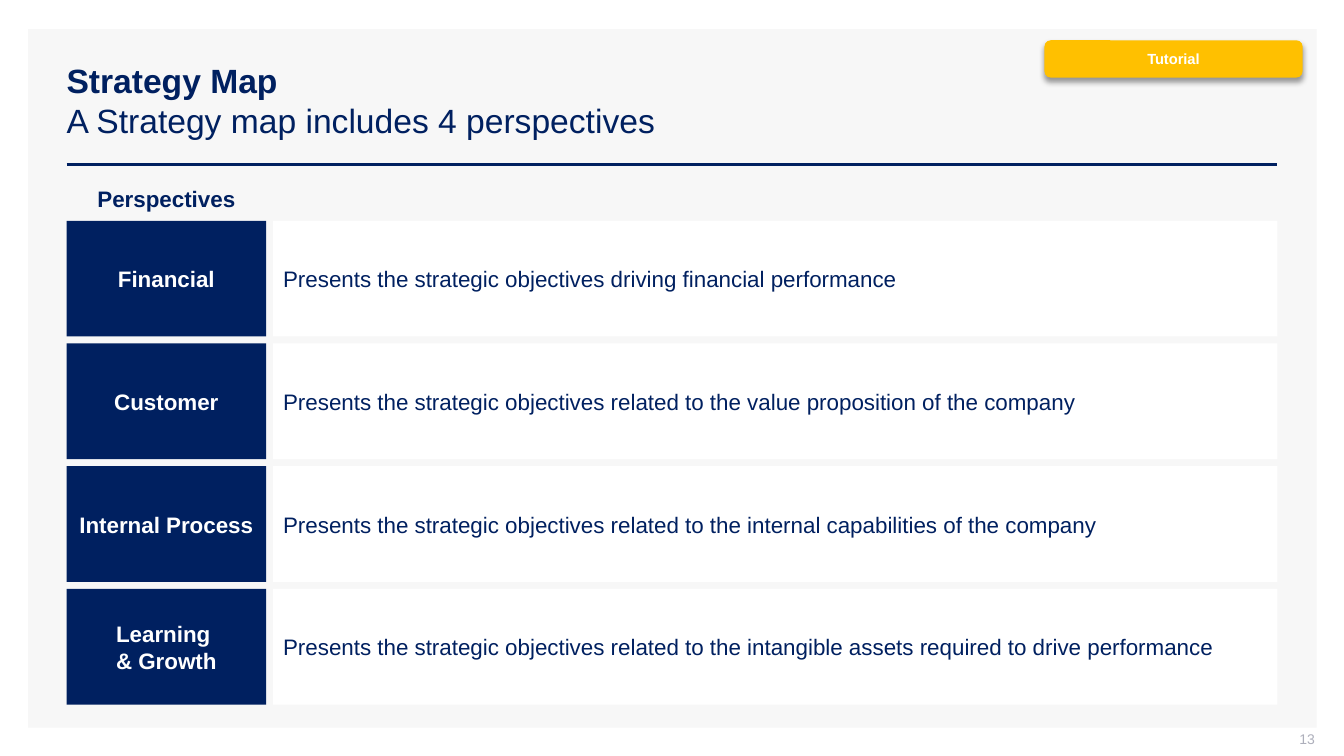
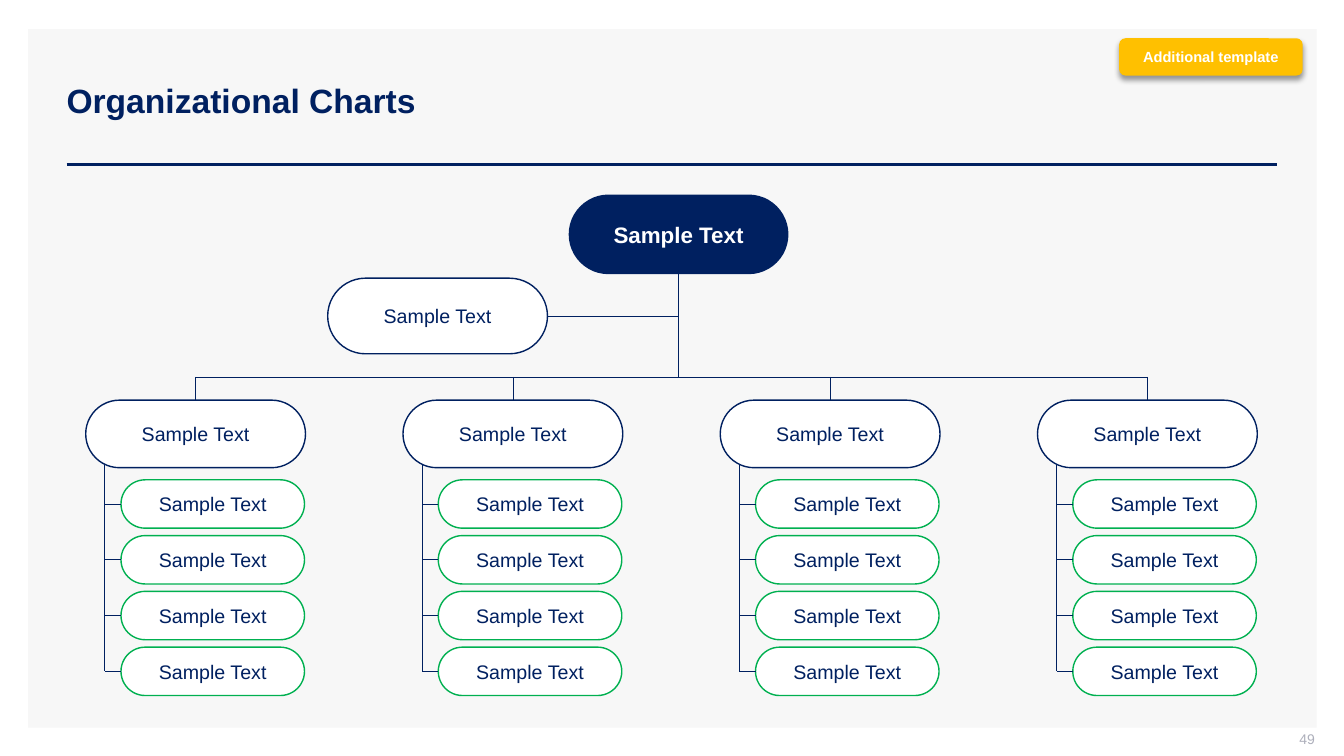
import lxml.etree
import pptx
import pptx.dml.color
import pptx.enum.shapes
import pptx.enum.text
import pptx.oxml.ns
import pptx.util

Inches = pptx.util.Inches
Pt = pptx.util.Pt
qn = pptx.oxml.ns.qn
SHAPE = pptx.enum.shapes.MSO_SHAPE
STRAIGHT = pptx.enum.shapes.MSO_CONNECTOR.STRAIGHT
ALIGN = pptx.enum.text.PP_ALIGN
MIDDLE = pptx.enum.text.MSO_ANCHOR.MIDDLE

FONT = "Arial"
NAVY, WHITE, GREEN, AMBER = "002060", "FFFFFF", "00B050", "FFC000"
PANEL, PAGE_GREY = "F7F7F7", "ADAFBB"
TOP, LEFT, BOTTOM, RIGHT = range(4)  # connection sites
MARGIN, CONTENT_WIDTH = 0.66, 12.01

PERSPECTIVES = [
    ("Financial", "Presents the strategic objectives driving financial performance"),
    ("Customer", "Presents the strategic objectives related to the value proposition of the company"),
    ("Internal Process", "Presents the strategic objectives related to the internal capabilities of the company"),
    ("Learning \n& Growth", "Presents the strategic objectives related to the intangible assets "
                            "required to drive performance"),
]
SAMPLE = "Sample Text"


def rgb(value):
    return pptx.dml.color.RGBColor.from_string(value)


def inches(*lengths):
    return [Inches(length) for length in lengths]


def style(paragraph, size, color, bold=False, align=ALIGN.CENTER):
    paragraph.alignment = align
    font = paragraph.font
    font.name, font.size, font.bold = FONT, Pt(size), bold
    font.color.rgb = rgb(color)


def write(frame, text, size, color, bold=False, align=ALIGN.CENTER):
    frame.word_wrap = True
    frame.vertical_anchor = MIDDLE
    frame.text = text
    for paragraph in frame.paragraphs:
        style(paragraph, size, color, bold, align)


def add_box(slide, box, fill, line=None, kind=SHAPE.RECTANGLE):
    shape = slide.shapes.add_shape(kind, *inches(*box))
    shape.shadow.inherit = False
    shape.fill.solid()
    shape.fill.fore_color.rgb = rgb(fill)
    if line:
        shape.line.color.rgb = rgb(line)
        shape.line.width = Pt(1)
    else:
        shape.line.fill.background()
    return shape


def add_pill(slide, box, fill=WHITE, line=NAVY, size=14, color=NAVY, bold=False):
    pill = add_box(slide, box, fill, line, SHAPE.ROUNDED_RECTANGLE)
    pill.adjustments[0] = 0.5
    write(pill.text_frame, SAMPLE, size, color, bold)
    return pill


def add_label(slide, box, text, size, color, bold=False, align=ALIGN.CENTER, insets=(0, 0.05, 0, 0.05)):
    frame = slide.shapes.add_textbox(*inches(*box)).text_frame
    (frame.margin_left, frame.margin_top,
     frame.margin_right, frame.margin_bottom) = inches(*insets)
    write(frame, text, size, color, bold, align)


def add_line(slide, start, end, width=0.5):
    line = slide.shapes.add_connector(STRAIGHT, *inches(*start, *end))
    line.line.color.rgb = rgb(NAVY)
    line.line.width = Pt(width)
    lxml.etree.SubElement(line._element.spPr, qn("a:effectLst"))
    return line


def add_badge(slide, box, text):
    badge = add_box(slide, box, AMBER, kind=SHAPE.ROUNDED_RECTANGLE)
    write(badge.text_frame, text, 10.5, WHITE, bold=True)
    # Soft shadow straight below
    effects = badge._element.spPr.find(qn("a:effectLst"))
    shadow = lxml.etree.SubElement(
        effects, qn("a:outerShdw"), blurRad=str(Pt(4)), dist=str(Pt(3)),
        dir="5400000", algn="t", rotWithShape="0")
    black = lxml.etree.SubElement(shadow, qn("a:srgbClr"), val="000000")
    lxml.etree.SubElement(black, qn("a:alpha"), val="40000")


def add_base_slide(deck, heading, page, subheading=None):
    """Panel, title, rule and page number that every slide shares."""
    slide = deck.slides.add_slide(deck.slide_layouts[5])
    panel = add_box(slide, (0.28, 0.29, 12.78, 6.93), PANEL)
    slide.shapes._spTree.insert(2, panel._element)  # behind the title

    title = slide.shapes.title
    title.left, title.top, title.width, title.height = inches(0.56, 0.4, 12.11, 1.19)
    frame = title.text_frame
    frame.auto_size = pptx.enum.text.MSO_AUTO_SIZE.NONE
    write(frame, heading, 24, NAVY, True, ALIGN.LEFT)
    if subheading:
        paragraph = frame.paragraphs[0]
        paragraph.add_line_break()
        run = paragraph.add_run()
        run.text = subheading
        run.font.bold = False

    add_line(slide, (MARGIN, 1.63), (MARGIN + CONTENT_WIDTH, 1.63), 2)
    add_label(slide, (10.04, 7.25, 3, 0.21), page, 10, PAGE_GREY,
              align=ALIGN.RIGHT, insets=(0.1, 0, 0, 0.05))
    return slide


def add_perspectives(slide, box):
    """Rows of a perspective name and its description, under a column heading."""
    left, top, width, height = box
    name_width, gap = 1.98, 0.07
    row_height = (height - gap * (len(PERSPECTIVES) - 1)) / len(PERSPECTIVES)
    text_left = left + name_width + gap
    add_label(slide, (left, top - 0.39, name_width, 0.34), "Perspectives", 16, NAVY, True)
    for row, (name, description) in enumerate(PERSPECTIVES):
        y = top + row * (row_height + gap)
        name_cell = add_box(slide, (left, y, name_width, row_height), NAVY)
        write(name_cell.text_frame, name, 16, WHITE, True)
        text_cell = add_box(slide, (text_left, y, left + width - text_left, row_height), WHITE)
        write(text_cell.text_frame, description, 16, NAVY, align=ALIGN.LEFT)


def add_department(slide, box, bus_y):
    """Department head hung from the bus, with a team of four below."""
    left, top, width, height = box
    head_height, member_height, members = 0.67, 0.48, 4
    spine_x, member_left = left + 0.19, left + 0.35
    first_top = top + 0.79
    pitch = (top + height - member_height - first_top) / (members - 1)
    spine_end = top + height - member_height / 2

    add_line(slide, (spine_x, top + 0.63), (spine_x, spine_end))
    head = add_pill(slide, (left, top, width, head_height))
    center = left + width / 2
    add_line(slide, (center, bus_y), (center, top)).end_connect(head, TOP)
    for index in range(members):
        y = first_top + index * pitch
        member = add_pill(slide, (member_left, y, 1.82, member_height), line=GREEN)
        middle = y + member_height / 2
        branch = add_line(slide, (spine_x, middle), (member_left, middle))
        branch.end_connect(member, LEFT)


def add_org_chart(slide, box):
    """Chief, adviser and four departments."""
    left, top, width, height = box
    pill_width, departments = 2.18, 4
    chief_left, chief_height = left + 4.79, 0.79
    trunk_x = chief_left + pill_width / 2
    bus_y = top + 1.81
    pitch = (width - pill_width) / (departments - 1)

    # Chief and trunk
    chief = add_pill(slide, (chief_left, top, pill_width, chief_height), NAVY, None, 16, WHITE, True)
    trunk = add_line(slide, (trunk_x, top + chief_height), (trunk_x, bus_y))
    trunk.begin_connect(chief, BOTTOM)

    # Adviser at the side of the trunk
    adviser_left, adviser_top, adviser_height = left + 2.4, top + 0.83, 0.75
    adviser = add_pill(slide, (adviser_left, adviser_top, pill_width, adviser_height))
    adviser_y = adviser_top + adviser_height / 2
    link = add_line(slide, (adviser_left + pill_width, adviser_y), (trunk_x, adviser_y))
    link.begin_connect(adviser, RIGHT)

    # Departments below the bus
    half = pill_width / 2
    add_line(slide, (left + half, bus_y), (left + width - half, bus_y))
    for column in range(departments):
        add_department(slide, (left + column * pitch, top + 2.04, pill_width, height - 2.04), bus_y)


def main():
    deck = pptx.Presentation()
    deck.slide_width, deck.slide_height = inches(13.33, 7.5)

    strategy = add_base_slide(deck, "Strategy Map", "13", "A Strategy map includes 4 perspectives")
    add_perspectives(strategy, (MARGIN, 2.19, CONTENT_WIDTH, 4.8))
    add_badge(strategy, (10.36, 0.4, 2.56, 0.37), "Tutorial")

    organization = add_base_slide(deck, "Organizational Charts", "49")
    add_org_chart(organization, (0.85, 1.93, 11.62, 4.97))
    add_badge(organization, (11.1, 0.38, 1.82, 0.37), "Additional template")

    deck.save("out.pptx")


if __name__ == "__main__":
    main()
